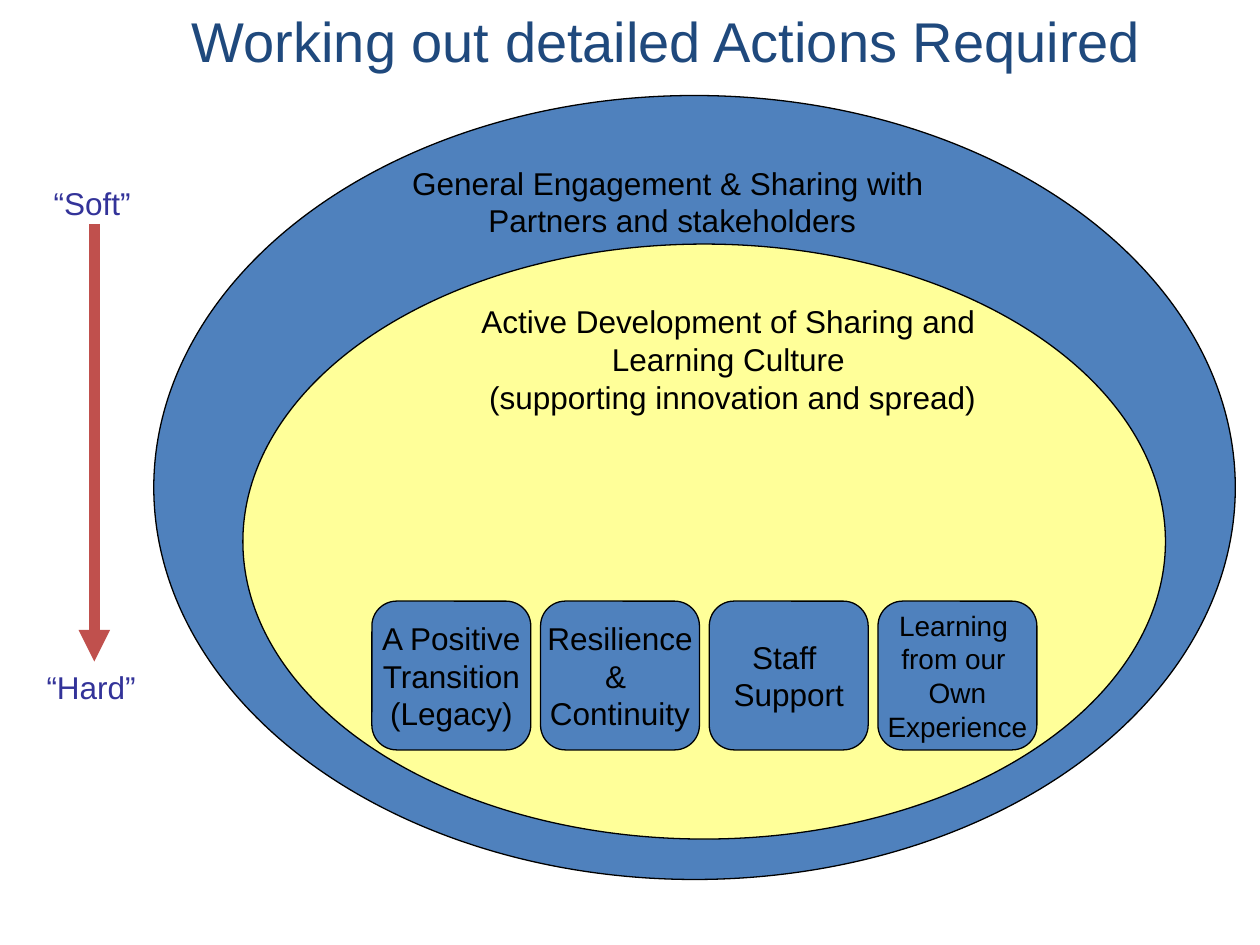
from lxml import etree
from pptx import Presentation
from pptx.dml.color import RGBColor
from pptx.enum.shapes import MSO_CONNECTOR, MSO_SHAPE
from pptx.enum.text import MSO_ANCHOR, MSO_AUTO_SIZE, PP_ALIGN
from pptx.oxml.ns import qn
from pptx.util import Pt

OVAL, ROUND = MSO_SHAPE.OVAL, MSO_SHAPE.ROUNDED_RECTANGLE
STRAIGHT = MSO_CONNECTOR.STRAIGHT
LEFT, CENTER = PP_ALIGN.LEFT, PP_ALIGN.CENTER
TOP, MIDDLE = MSO_ANCHOR.TOP, MSO_ANCHOR.MIDDLE
GROW, FIXED = MSO_AUTO_SIZE.SHAPE_TO_FIT_TEXT, MSO_AUTO_SIZE.NONE

THEME = {
    "font": "Arial",
    "blue": "4F81BD", "yellow": "FFFF99", "red": "C0504D",
    "black": "000000", "navy": "1F497D", "indigo": "333399",
    "title": 32, "body": 18, "small": 16,
}

# Boxes are left, top, width, height in points.
TITLE = (["Working out detailed Actions Required"], (0, 0, 761.8, 45.4))
RINGS = [
    ("blue", (87.9, 54.6, 618, 448),
     ["General Engagement & Sharing with ", "Partners and stakeholders"],
     (228.2, 90, 311.8, 50.4)),
    ("yellow", (138.8, 139.5, 527.2, 340),
     ["Active Development of Sharing and ", "Learning Culture ",
      "(supporting innovation and spread)"],
     (267.8, 169.2, 301.7, 72)),
]
CARDS = [
    (["A Positive", "Transition", "(Legacy)"], "body"),
    (["Resilience", "& ", "Continuity"], "body"),
    (["Staff ", "Support"], "body"),
    (["Learning ", "from our ", "Own", "Experience"], "small"),
]
CARD = (212.5, 343.5, 90.8, 85)
STEP = 96.4
ENDS = [
    ("“Soft”", (23.6, 101.5, 58.3, 28.8)),
    ("“Hard”", (19.5, 378, 65.5, 28.8)),
]
ARROW = (53.9, 128, 53.9, 378)


def tone(name):
    return RGBColor.from_string(THEME[name])


def write(frame, lines, size="body", color="black", align=CENTER,
          anchor=TOP, wrap=False, fit=GROW):
    frame.word_wrap = wrap
    frame.auto_size = fit
    frame.vertical_anchor = anchor
    for i, line in enumerate(lines):
        para = frame.paragraphs[0] if i == 0 else frame.add_paragraph()
        para.alignment = align
        run = para.add_run()
        run.text = line
        run.font.name = THEME["font"]
        run.font.size = Pt(THEME[size])
        run.font.color.rgb = tone(color)


def label(slide, lines, box, **style):
    note = slide.shapes.add_textbox(*map(Pt, box))
    write(note.text_frame, lines, **style)


def draw(slide, kind, box, fill):
    shape = slide.shapes.add_shape(kind, *map(Pt, box))
    shape.shadow.inherit = False
    shape.fill.solid()
    shape.fill.fore_color.rgb = tone(fill)
    shape.line.color.rgb = tone("black")
    shape.line.width = Pt(0.75)
    return shape


def arrow(slide, ends):
    line = slide.shapes.add_connector(STRAIGHT, *map(Pt, ends))
    line.line.color.rgb = tone("red")
    line.line.width = Pt(6)
    tip = etree.SubElement(line.line._get_or_add_ln(), qn("a:tailEnd"))
    tip.set("type", "triangle")
    etree.SubElement(line._element.spPr, qn("a:effectLst"))


def main():
    deck = Presentation()
    deck.slide_width, deck.slide_height = Pt(720), Pt(540)
    slide = deck.slides.add_slide(deck.slide_layouts[6])

    for fill, box, lines, spot in RINGS:
        draw(slide, OVAL, box, fill)
        label(slide, lines, spot)

    left, top, wide, high = CARD
    for i, (lines, size) in enumerate(CARDS):
        card = draw(slide, ROUND, (left + i * STEP, top, wide, high), "blue")
        write(card.text_frame, lines, size=size, anchor=MIDDLE, fit=FIXED)

    for word, box in ENDS:
        label(slide, [word], box, color="indigo", align=LEFT)
    arrow(slide, ARROW)
    label(slide, *TITLE, size="title", color="navy", wrap=True)

    deck.save("out.pptx")


if __name__ == "__main__":
    main()
